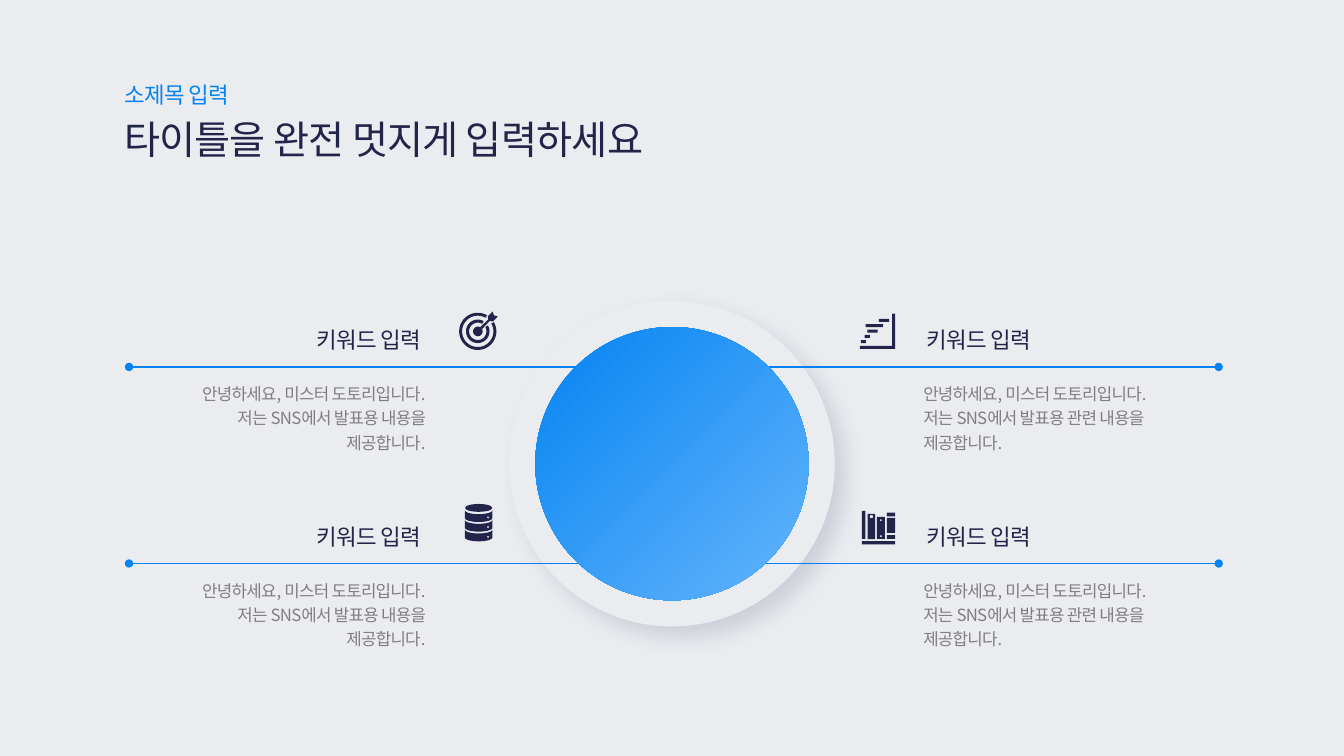
from math import cos, radians, sin

from lxml import etree
from pptx import Presentation
from pptx.dml.color import RGBColor
from pptx.enum.shapes import MSO_CONNECTOR, MSO_SHAPE
from pptx.enum.text import MSO_ANCHOR, MSO_AUTO_SIZE, PP_ALIGN
from pptx.oxml.ns import qn
from pptx.util import Pt

LEFT, CENTER, RIGHT = PP_ALIGN.LEFT, PP_ALIGN.CENTER, PP_ALIGN.RIGHT
TOP = MSO_ANCHOR.TOP
FIT_SHAPE = MSO_AUTO_SIZE.SHAPE_TO_FIT_TEXT
OVAL, RECTANGLE = MSO_SHAPE.OVAL, MSO_SHAPE.RECTANGLE
STRAIGHT = MSO_CONNECTOR.STRAIGHT

FONT = "Noto Sans CJK KR"
PAPER, NAVY, BLUE, SKY, GREY = "EBECF0", "232449", "0583F2", "64B5FC", "7F7F7F"
SHADE = "ACB0C0"
ROW_LINES = (262.1, 402.5)


def color(value):
    return RGBColor.from_string(value)


def child(parent, tag, **attributes):
    return etree.SubElement(parent, qn(tag), attributes)


def arc(cx, cy, rx, ry, start=0, sweep=360, steps=36):
    """Points along an ellipse, with angles in degrees going clockwise."""
    angles = [radians(start + sweep * i / steps) for i in range(steps + 1)]
    return [(cx + rx * cos(a), cy + ry * sin(a)) for a in angles]


def rectangle_points(x, y, width, height):
    return [(x, y), (x + width, y), (x + width, y + height), (x, y + height)]


def format_text(box, lines, size=12, fill=NAVY, align=LEFT, spacing=None, wrap=False):
    frame = box.text_frame
    frame.margin_left = frame.margin_right = 0
    frame.margin_top = frame.margin_bottom = 0
    frame.vertical_anchor = TOP
    frame.word_wrap = wrap
    frame.auto_size = FIT_SHAPE
    for index, line in enumerate(lines):
        para = frame.add_paragraph() if index else frame.paragraphs[0]
        para.alignment = align
        para.space_before = Pt(0)
        if spacing:
            para.line_spacing = spacing
        span = para.add_run()
        span.text = line
        span.font.size = Pt(size)
        span.font.name = FONT
        span.font.color.rgb = color(fill)
        properties = span.font._element
        properties.set("spc", "-50")
        child(properties, "a:ea", typeface=FONT)


class Page:
    """The current slide and the shape tree that receives new elements."""

    def __init__(self, deck):
        self.slide = deck.slides.add_slide(deck.slide_layouts[5])
        self.shapes = self.slide.shapes
        background = self.slide.background.fill
        background.solid()
        background.fore_color.rgb = color(PAPER)

    def title(self, text, x, y, width, height, **style):
        box = self.slide.shapes.title
        box.left, box.top, box.width, box.height = map(Pt, (x, y, width, height))
        format_text(box, [text], **style)

    def text(self, lines, x, y, width, height, **style):
        box = self.shapes.add_textbox(*map(Pt, (x, y, width, height)))
        format_text(box, lines, **style)

    def paint(self, shape, fill):
        shape.shadow.inherit = False
        shape.line.fill.background()
        shape.fill.solid()
        shape.fill.fore_color.rgb = color(fill)
        return shape

    def shape(self, kind, x, y, width, height, fill=NAVY):
        return self.paint(self.shapes.add_shape(kind, *map(Pt, (x, y, width, height))), fill)

    def disc(self, cx, cy, radius, fill=NAVY):
        return self.shape(OVAL, cx - radius, cy - radius, 2 * radius, 2 * radius, fill)

    def outline(self, *contours):
        """Draw one filled freeform; contours after the first cut holes."""
        scaled = [[(Pt(x), Pt(y)) for x, y in contour] for contour in contours]
        builder = self.shapes.build_freeform(*scaled[0][0])
        builder.add_line_segments(scaled[0][1:])
        for hole in scaled[1:]:
            builder.move_to(*hole[0])
            builder.add_line_segments(hole[1:])
        self.paint(builder.convert_to_shape(), NAVY)

    def line(self, x1, x2, y, oval_end):
        connector = self.shapes.add_connector(STRAIGHT, Pt(x1), Pt(y), Pt(x2), Pt(y))
        connector.line.color.rgb = color(BLUE)
        connector.line.width = Pt(1)
        child(connector.line._get_or_add_ln(), oval_end, type="oval")
        child(connector._element.spPr, "a:effectLst")

    def icon(self, draw, x, y):
        """Collect everything that draw adds into one group."""
        self.shapes = self.slide.shapes.add_group_shape().shapes
        draw(self, x, y)
        self.shapes = self.slide.shapes


def draw_target(page, cx, cy):
    for outer, inner in ((13.3, 11.2), (8.4, 6.2)):
        page.outline(arc(cx, cy, outer, outer, -30, 330)
                     + arc(cx, cy, inner, inner, 300, -330))
    page.disc(cx, cy, 3.5)
    arrow = [(11.5, -11.5), (10.6, -14.2), (7.1, -10.8), (7.4, -8.4), (1.6, -3),
             (3, -1.6), (8.4, -7.4), (10.8, -7.1), (14.2, -10.6)]
    page.outline([(cx + dx, cy + dy) for dx, dy in arrow])


def draw_database(page, cx, y):
    half, dip = 9.8, 2.8
    page.shape(OVAL, cx - half, y, 2 * half, 2 * dip)
    for band in range(3):
        top = y + 4.5 + 6.9 * band
        page.outline(arc(cx, top, half, dip, 0, 180)
                     + arc(cx, top + 5.6, half, dip, 180, -180),
                     arc(cx + 6.7, top + 5.1, 0.7, 0.7, steps=12))


def draw_stairs(page, x, y):
    frame = [(23, 23), (0, 23), (0, 25.2), (25.2, 25.2), (25.2, 0), (23, 0)]
    page.outline([(x + dx, y + dy) for dx, dy in frame])
    steps = ((0.7, 18.9, 3.6), (3.4, 15.2, 3.8), (5.3, 11.5, 7.4),
             (4.1, 7.5, 12.6), (13.5, 3.7, 7.4))
    for dx, dy, width in steps:
        page.shape(RECTANGLE, x + dx, y + dy, width, 2.2)


def draw_books(page, x, y):
    blocks = ((0, 21.6, 23.8, 2.3), (0, 0, 2.6, 20), (17.9, 17.2, 6, 2.8),
              (17.9, 5, 6, 10.6), (17.9, 1.2, 6, 2.6))
    for dx, dy, width, height in blocks:
        page.shape(RECTANGLE, x + dx, y + dy, width, height)
    page.outline(rectangle_points(x + 4.2, y + 2, 5.3, 18),
                 rectangle_points(x + 5.8, y + 2.9, 2.1, 2.3))
    page.outline(rectangle_points(x + 10.8, y + 4.3, 5.6, 15.7),
                 *(arc(x + 13.6, y + dy, 0.7, 0.7, steps=12) for dy in (6.6, 18)))


def draw_center_ring(page):
    ring = page.disc(480, 331.2, 116.3, PAPER)
    shadow = child(ring._element.spPr.find(qn("a:effectLst")), "a:outerShdw",
                   blurRad=str(Pt(15)), dist=str(Pt(10)), dir=str(45 * 60000),
                   algn="tl", rotWithShape="0")
    child(child(shadow, "a:srgbClr", val=SHADE), "a:alpha", val="47000")


def draw_center_disc(page):
    fill = page.disc(480, 331.2, 97.6).fill
    fill.gradient()
    fill.gradient_angle = 315
    for stop, position, value in zip(fill.gradient_stops, (0, 1), (BLUE, SKY)):
        stop.position = position
        stop.color.rgb = color(value)


def main():
    deck = Presentation()
    deck.slide_width, deck.slide_height = Pt(960), Pt(540)
    page = Page(deck)
    page.text(["소제목 입력"], 89.3, 58.3, 79.2, 19.4, size=16, fill=BLUE)
    page.title("타이틀을 완전 멋지게 입력하세요", 88.6, 79.2, 395.3, 37.4, size=28, spacing=1.1)

    draw_center_ring(page)
    for y in ROW_LINES:
        page.line(441.4, 92.2, y, "a:tailEnd")
        page.line(870.5, 523.4, y, "a:headEnd")
    draw_center_disc(page)

    greeting = "안녕하세요, 미스터 도토리입니다."
    sides = (
        (223.9, 121, 182.9, RIGHT, "저는 SNS에서 발표용 내용을 제공합니다."),
        (659.5, 659.5, 204.5, LEFT, "저는 SNS에서 발표용 관련 내용을 제공합니다."),
    )
    for y in ROW_LINES:
        for keyword_x, body_x, width, align, message in sides:
            page.text(["키워드 입력"], keyword_x, y - 28.8, 79.2, 19.4, size=16, align=CENTER)
            page.text([greeting, message], body_x, y + 9.3, width, 33.1,
                      fill=GREY, align=align, spacing=1.2, wrap=True)

    page.icon(draw_target, 341.3, 236.7)
    page.icon(draw_database, 341.9, 360)
    page.icon(draw_stairs, 614.2, 224)
    page.icon(draw_books, 615.6, 365)
    deck.save("out.pptx")


if __name__ == "__main__":
    main()
